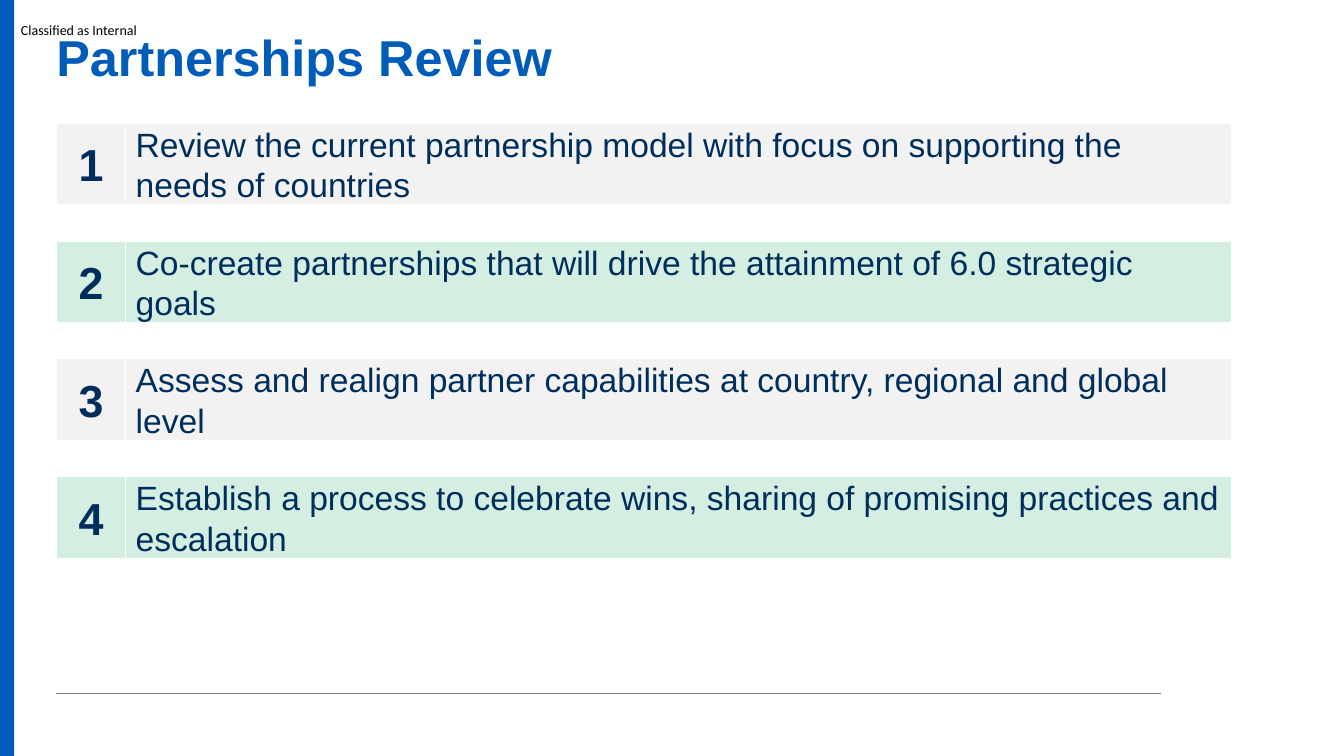
"""Build the Partnerships Review slide with four numbered aims."""
import pptx
import pptx.util
import pptx.dml.color
import pptx.enum.shapes
import pptx.enum.text
import pptx.oxml
import pptx.oxml.ns

Cm, Pt = pptx.util.Cm, pptx.util.Pt
RGBColor = pptx.dml.color.RGBColor
ALIGN = pptx.enum.text.PP_ALIGN
MIDDLE = pptx.enum.text.MSO_ANCHOR.MIDDLE
RECT = pptx.enum.shapes.MSO_SHAPE.RECTANGLE
BLUE = RGBColor(0x00, 0x5C, 0xB9)
NAVY = RGBColor(0x00, 0x2E, 0x5C)
GRAY = RGBColor(0xF2, 0xF2, 0xF2)
MINT = RGBColor(0xD5, 0xEE, 0xE2)
RULE = RGBColor(0x80, 0x80, 0x80)
WHITE = RGBColor(0xFF, 0xFF, 0xFF)
BLACK = RGBColor(0x00, 0x00, 0x00)

LEFT, TOP, STEP, HIGH = 1.42, 3.1, 2.97, 2.06
NUM, WIDE = 1.75, 27.86
AIMS = [
    "Review the current partnership model with focus on supporting the needs of countries",
    "Co-create partnerships that will drive the attainment of 6.0 strategic goals",
    "Assess and realign partner capabilities at country, regional and global level",
    "Establish a process to celebrate wins, sharing of promising practices and escalation",
]
FLAT = {"margin_left": 0, "margin_top": 0, "margin_right": 0, "margin_bottom": 0}
HEAD = {"name": "Arial", "size": Pt(36), "bold": True}
NOTE = {"name": "Calibri", "size": Pt(10), "bold": False}
DIGIT = {"name": "Arial", "size": Pt(32), "bold": True}
BODY = {"name": "Arial", "size": Pt(24), "bold": False}


def write(shape, text, style, color, align, frame):
    box = shape.text_frame
    box.text = text
    for key, value in frame.items():
        setattr(box, key, value)
    para = box.paragraphs[0]
    para.alignment = align
    for key, value in style.items():
        setattr(para.font, key, value)
    para.font.color.rgb = color
    return para


def block(shapes, left, top, width, height, fill):
    shape = shapes.add_shape(RECT, Cm(left), Cm(top), Cm(width), Cm(height))
    shape.shadow.inherit = False
    shape.fill.solid()
    shape.fill.fore_color.rgb = fill
    shape.line.fill.background()
    return shape


deck = pptx.Presentation()
deck.slide_width, deck.slide_height = Cm(33.87), Cm(19.05)
slide = deck.slides.add_slide(deck.slide_layouts[5])
shapes = slide.shapes

note = shapes.add_textbox(Cm(0.53), Cm(0.53), Cm(3), Cm(0.43))
write(note, "Classified as Internal", NOTE, BLACK, ALIGN.LEFT, {**FLAT, "word_wrap": False})

block(shapes, 0, 0, 0.36, 19.05, BLUE)

rule = shapes.add_connector(
    pptx.enum.shapes.MSO_CONNECTOR.STRAIGHT, Cm(LEFT), Cm(17.48), Cm(29.26), Cm(17.48))
rule.line.color.rgb = RULE
rule.line.width = Pt(0.5)
rule._element.spPr.append(pptx.oxml.parse_xml(
    "<a:effectLst %s/>" % pptx.oxml.ns.nsdecls("a")))

title = shapes.title
title.left, title.top, title.width, title.height = Cm(LEFT), Cm(0.81), Cm(30.99), Cm(1.4)
frame = {**FLAT, "vertical_anchor": MIDDLE, "word_wrap": True,
         "auto_size": pptx.enum.text.MSO_AUTO_SIZE.NONE}
para = write(title, "Partnerships Review", HEAD, BLUE, ALIGN.LEFT, frame)
para.line_spacing = 0.9

for row, aim in enumerate(AIMS):
    group = shapes.add_group_shape()
    cells = [
        (LEFT + NUM, WIDE, aim, BODY, ALIGN.LEFT),
        (LEFT, NUM, str(row + 1), DIGIT, ALIGN.CENTER),
    ]
    for left, width, text, style, align in cells:
        cell = block(group.shapes, left, TOP + row * STEP, width, HIGH, (GRAY, MINT)[row % 2])
        cell.line.color.rgb = WHITE
        cell.line.width = Pt(1)
        write(cell, text, style, NAVY, align, {"word_wrap": True, "vertical_anchor": MIDDLE})

deck.save("out.pptx")
